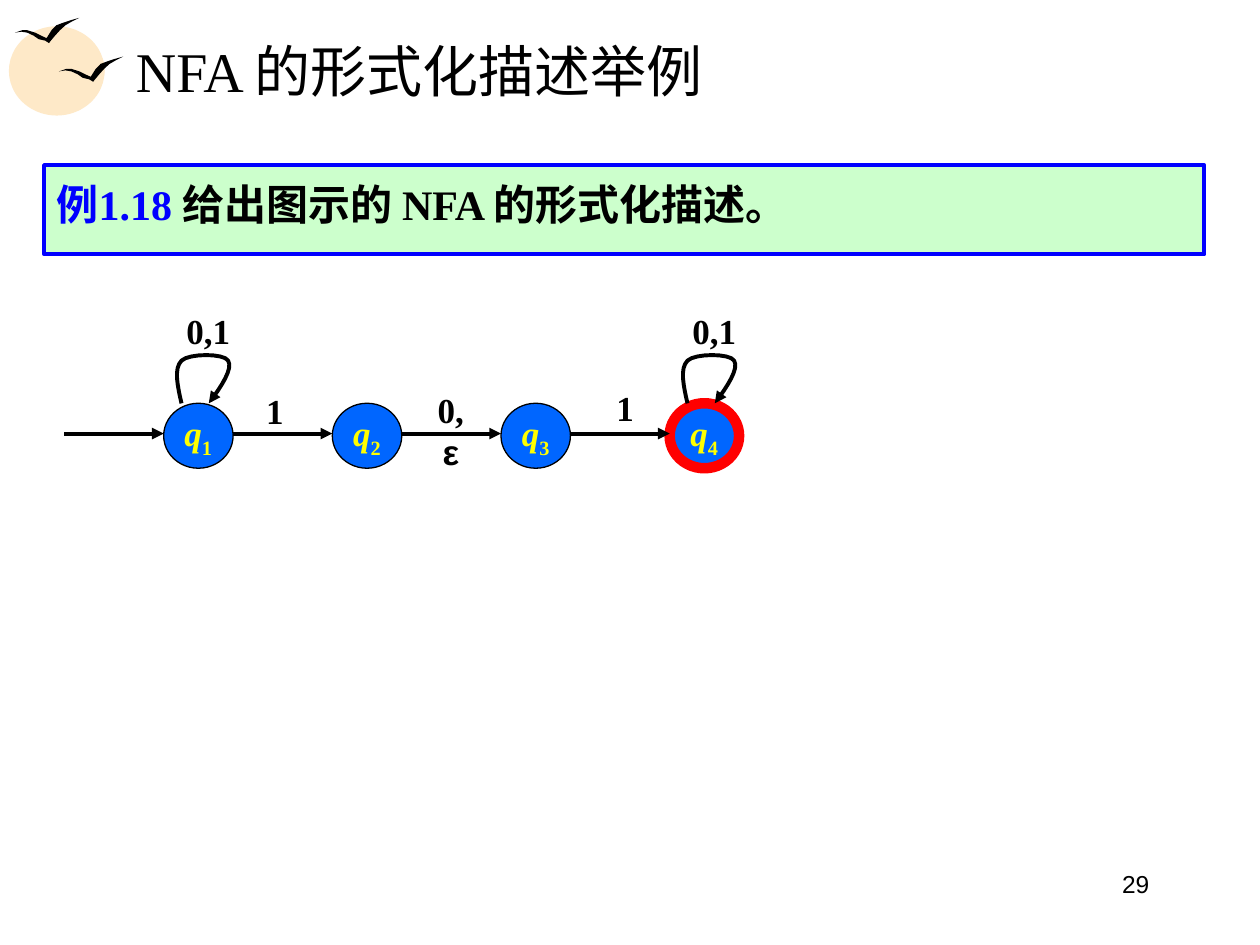
from dataclasses import dataclass

import pptx
import pptx.dml.color
import pptx.enum.shapes
import pptx.enum.text
import pptx.oxml
import pptx.oxml.ns
import pptx.util
from pptx.dml.color import RGBColor
from pptx.util import Cm, Pt

BLACK = RGBColor(0x00, 0x00, 0x00)
BLUE = RGBColor(0x00, 0x00, 0xFF)
RED = RGBColor(0xFF, 0x00, 0x00)
YELLOW = RGBColor(0xFF, 0xFF, 0x00)
STATE_BLUE = RGBColor(0x00, 0x66, 0xFF)
PALE_GREEN = RGBColor(0xCC, 0xFF, 0xCC)
SUN = RGBColor(0xFE, 0xE9, 0xC8)

SHAPES = pptx.enum.shapes.MSO_SHAPE
ALIGN = pptx.enum.text.PP_ALIGN
MIDDLE = pptx.enum.text.MSO_ANCHOR.MIDDLE

SERIF = "Times New Roman"
LABEL = {"name": SERIF, "size": Pt(20), "bold": True}

# Automaton grid, in centimetres
FIRST_LEFT, STATE_TOP, PITCH = 3.3, 8.13, 3.4
STATE_WIDTH, STATE_HEIGHT = 1.4, 1.31
ARROW_Y = 8.74

# Loop as cubic Bezier segments, relative to its state's top left corner
LOOP_START = (0.36, 0)
LOOP_CURVES = [
    ((0.28, -0.35), (0.2, -0.7), (0.36, -0.86)),
    ((0.51, -1.01), (1.22, -1.01), (1.3, -0.86)),
    ((1.4, -0.7), (1.17, -0.35), (0.91, 0)),
]
BIRD = [
    (0, 0.3), (0.15, 0.25), (0.25, 0.25), (0.41, 0.3), (0.53, 0.36), (0.64, 0.41),
    (0.74, 0.25), (0.84, 0.15), (0.97, 0.1), (1.12, 0.05), (1.3, 0), (1.14, 0.08),
    (1.02, 0.15), (0.91, 0.25), (0.81, 0.36), (0.71, 0.48), (0.69, 0.51),
    (0.61, 0.46), (0.48, 0.43), (0.38, 0.36), (0.25, 0.3), (0.13, 0.28),
]


@dataclass
class Area:
    left: float
    top: float
    width: float
    height: float

    def lengths(self) -> list:
        return [Cm(v) for v in (self.left, self.top, self.width, self.height)]


@dataclass
class State:
    number: str
    outline: RGBColor = BLACK
    outline_width: float = 0.75
    loops: bool = False


STATES = [State("1", loops=True), State("2"), State("3"), State("4", RED, 6, True)]
EDGE_LABELS = [
    (Area(5.11, 7.72, 0.86, 1.12), [("1", SERIF)]),
    (Area(8.33, 7.7, 1.52, 1.12), [("0, ", SERIF), ("ε", "Arial")]),
    (Area(12.17, 7.67, 0.86, 1.12), [("1", SERIF)]),
]


def add_span(para, text: str, colour: RGBColor, formats: dict):
    span = para.add_run()
    span.text = text
    for name, value in formats.items():
        setattr(span.font, name, value)
    span.font.color.rgb = colour
    return span


def add_text(page, area: Area, align=ALIGN.LEFT, wrap: bool = True):
    box = page.shapes.add_textbox(*area.lengths())
    box.text_frame.word_wrap = wrap
    para = box.text_frame.paragraphs[0]
    para.alignment = align
    return box, para


def add_filled(page, kind, area: Area, fill: RGBColor, outline=None, width: float = 0):
    shape = page.shapes.add_shape(kind, *area.lengths())
    shape.shadow.inherit = False
    shape.fill.solid()
    shape.fill.fore_color.rgb = fill
    if outline is None:
        shape.line.fill.background()
    else:
        shape.line.color.rgb = outline
        shape.line.width = Pt(width)
    return shape


def add_outline(page, points: list, left: float, top: float, close: bool):
    placed = [(Cm(left + x), Cm(top + y)) for x, y in points]
    builder = page.shapes.build_freeform(*placed[0])
    builder.add_line_segments(placed[1:], close=close)
    shape = builder.convert_to_shape()
    shape.shadow.inherit = False
    return shape


def style_arrow(line) -> None:
    line.color.rgb = BLACK
    line.width = Pt(2.25)
    head = pptx.oxml.parse_xml(
        f'<a:tailEnd {pptx.oxml.ns.nsdecls("a")} type="triangle"/>')
    line._get_or_add_ln().append(head)


def add_bird(page, left: float, top: float) -> None:
    bird = add_outline(page, BIRD, left, top, True)
    bird.fill.solid()
    bird.fill.fore_color.rgb = BLACK
    bird.line.fill.background()


def add_arrow(page, start: float, end: float) -> None:
    arrow = page.shapes.add_connector(
        pptx.enum.shapes.MSO_CONNECTOR.STRAIGHT, Cm(start), Cm(ARROW_Y), Cm(end), Cm(ARROW_Y))
    style_arrow(arrow.line)
    arrow._element.spPr.append(
        pptx.oxml.parse_xml(f'<a:effectLst {pptx.oxml.ns.nsdecls("a")}/>'))


def loop_points(steps: int = 8) -> list:
    points = [LOOP_START]
    for curve in LOOP_CURVES:
        corners = (points[-1], *curve)
        for step in range(1, steps + 1):
            t = step / steps
            weights = ((1 - t) ** 3, 3 * t * (1 - t) ** 2, 3 * t * t * (1 - t), t ** 3)
            points.append(tuple(
                sum(w * corner[axis] for w, corner in zip(weights, corners))
                for axis in (0, 1)))
    return points


def add_loop(page, left: float) -> None:
    loop = add_outline(page, loop_points(), left, STATE_TOP, False)
    loop.fill.background()
    style_arrow(loop.line)
    _, para = add_text(page, Area(left + 0.2, 6.12, 1.4, 1.12), ALIGN.CENTER, False)
    add_span(para, "0,1", BLACK, LABEL)


def add_state(page, state: State, left: float) -> None:
    area = Area(left, STATE_TOP, STATE_WIDTH, STATE_HEIGHT)
    circle = add_filled(page, SHAPES.OVAL, area, STATE_BLUE,
                        state.outline, state.outline_width)
    circle.text_frame.word_wrap = False
    circle.text_frame.vertical_anchor = MIDDLE
    para = circle.text_frame.paragraphs[0]
    para.alignment = ALIGN.CENTER
    add_span(para, "q", YELLOW, {**LABEL, "italic": True})
    index = add_span(para, state.number, YELLOW, LABEL)
    index.font._element.set("baseline", "-25000")


def main() -> None:
    deck = pptx.Presentation()
    deck.slide_width, deck.slide_height = Cm(25.4), Cm(19.05)
    page = deck.slides.add_slide(deck.slide_layouts[6])

    # Sun and birds
    for sun in (Area(0.18, 0.53, 1.93, 1.8), Area(0.51, 0.71, 1.6, 1.4)):
        add_filled(page, SHAPES.OVAL, sun, SUN)
    for left, top in ((1.19, 1.14), (0.3, 0.36)):
        add_bird(page, left, top)

    # Page number and title
    _, para = add_text(page, Area(17.5, 17.4, 5.92, 1.32), ALIGN.RIGHT)
    add_span(para, "29", BLACK, {"name": "Arial", "size": Pt(14)})
    title, para = add_text(page, Area(2.49, 0.53, 21.67, 1.75))
    title.text_frame.vertical_anchor = MIDDLE
    add_span(para, "NFA 的形式化描述举例", BLACK, {"name": SERIF, "size": Pt(32)})

    # Example statement
    example = add_filled(page, SHAPES.RECTANGLE, Area(0.89, 3.33, 23.39, 1.8),
                         PALE_GREEN, BLUE, 2.25)
    example.text_frame.vertical_anchor = pptx.enum.text.MSO_ANCHOR.TOP
    para = example.text_frame.paragraphs[0]
    para.alignment = ALIGN.LEFT
    para.line_spacing = 1.15
    for text, colour in (("例1.18 ", BLUE), ("给出图示的 NFA 的形式化描述。", BLACK)):
        add_span(para, text, colour, {**LABEL, "size": Pt(24)})

    # Automaton
    for area, parts in EDGE_LABELS:
        _, para = add_text(page, area, ALIGN.CENTER, len(parts) > 1)
        for text, font in parts:
            add_span(para, text, BLACK, {**LABEL, "name": font})
    for place, state in enumerate(STATES):
        left = FIRST_LEFT + place * PITCH
        add_state(page, state, left)
        add_arrow(page, left - PITCH + STATE_WIDTH, left)
        if state.loops:
            add_loop(page, left)

    deck.save("out.pptx")


if __name__ == "__main__":
    main()
